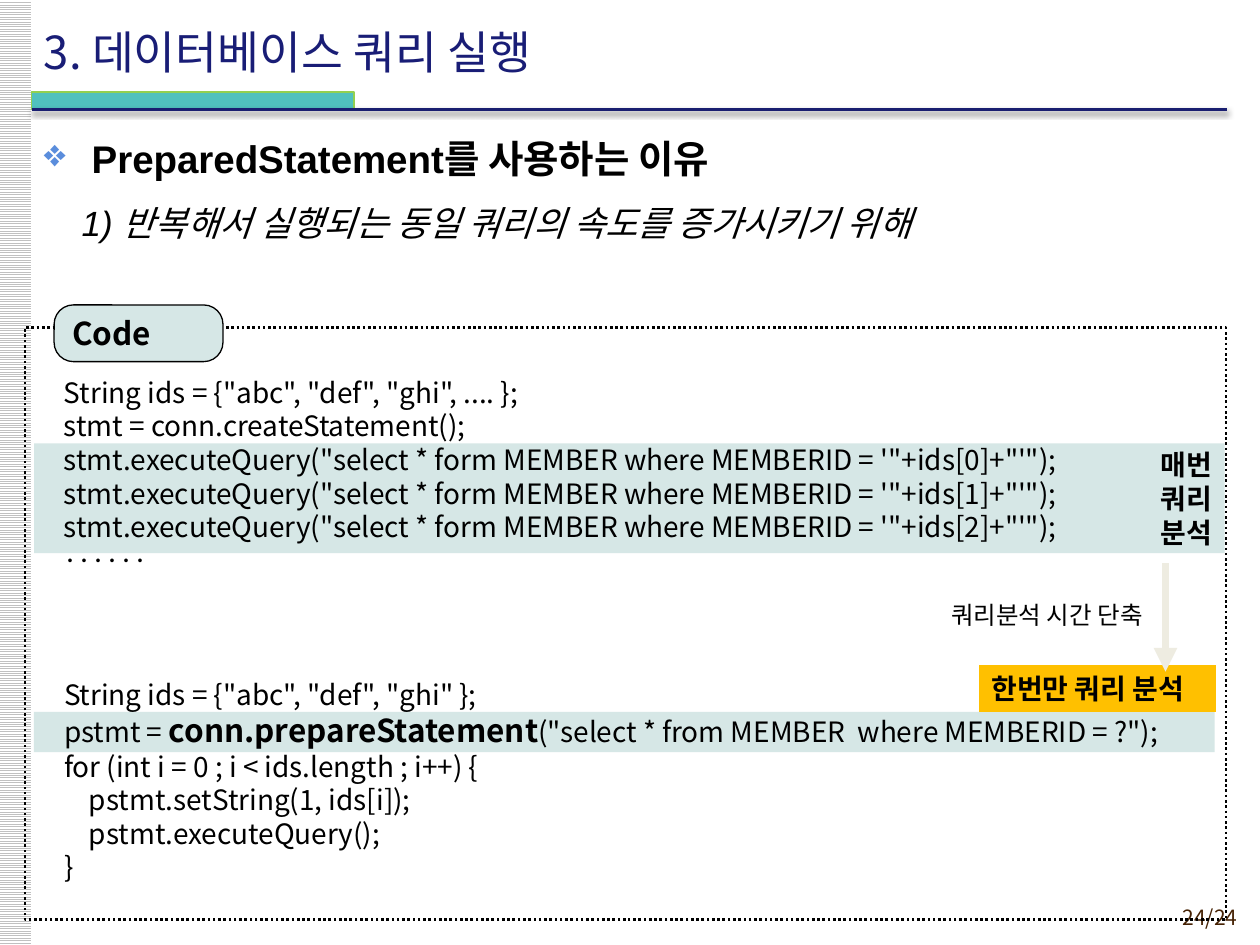
from dataclasses import dataclass

from lxml.etree import SubElement
from pptx import Presentation
from pptx.dml.color import RGBColor
from pptx.enum.dml import MSO_LINE, MSO_PATTERN
from pptx.enum.shapes import MSO_CONNECTOR, MSO_SHAPE
from pptx.enum.text import MSO_ANCHOR as Anchor, PP_ALIGN as Align
from pptx.oxml.ns import qn
from pptx.util import Inches, Pt

TITLE = "3. 데이터베이스 쿼리 실행"
HEADING = "PreparedStatement를 사용하는 이유"
REASON = "1) 반복해서 실행되는 동일 쿼리의 속도를 증가시키기 위해"
PAGE = "24/24"
CODE_LABEL = "Code"
EVERY_TIME = ["매번", "쿼리", "분석"]
ONLY_ONCE = "한번만 쿼리 분석"
TIME_SAVED = "쿼리분석 시간 단축"
STATEMENT_CODE = [
    'String ids = {"abc", "def", "ghi", .... };',
    "stmt = conn.createStatement();",
    *[f"stmt.executeQuery(\"select * form MEMBER where MEMBERID = '\"+ids[{i}]+\"'\");"
      for i in range(3)],
    "‥‥‥",
]
# A tuple is a line of runs; a run in a list is emphasised.
PREPARED_CODE = [
    'String ids = {"abc", "def", "ghi" };',
    ("pstmt = ", ["conn.prepareStatement"],
     '("select * from MEMBER  where MEMBERID = ?");'),
    "for (int i = 0 ; i < ids.length ; i++) {",
    "    pstmt.setString(1, ids[i]);",
    "    pstmt.executeQuery();",
    "}",
]


@dataclass(frozen=True)
class Theme:
    font: str = "Noto Sans CJK KR"
    latin: str = "Arial"
    ink: str = "000000"
    title: str = "191D76"
    rule: str = "191E70"
    page: str = "452103"
    bullet: str = "5A8DDC"
    band: str = "D6E7E6"
    accent: str = "FFC000"
    arrow: str = "EEECE1"
    teal: str = "50C1BE"
    green: str = "92D050"
    stripe: str = "C0C0C0"
    paper: str = "FFFFFF"
    title_size: float = 26
    heading_size: float = 22
    reason_size: float = 20
    strong_size: float = 18
    code_size: float = 16
    note_size: float = 14
    page_size: float = 12
    line_height: float = 1.2


THEME = Theme()


def rgb(value):
    return RGBColor.from_string(value)


def add_panel(slide, box, fill=None, line=None, width=0.75, dash=None,
              kind=MSO_SHAPE.RECTANGLE):
    shape = slide.shapes.add_shape(kind, *map(Inches, box))
    shape.shadow.inherit = False
    if fill:
        shape.fill.solid()
        shape.fill.fore_color.rgb = rgb(fill)
    else:
        shape.fill.background()
    if line:
        shape.line.color.rgb = rgb(line)
        shape.line.width = Pt(width)
        if dash:
            shape.line.dash_style = dash
    else:
        shape.line.fill.background()
    return shape


def add_textbox(slide, box):
    return slide.shapes.add_textbox(*map(Inches, box))


def add_bullet(paragraph, character, color, indent):
    properties = paragraph._p.get_or_add_pPr()
    properties.set("marL", str(Inches(indent)))
    properties.set("indent", str(-Inches(indent)))
    bullet_color = SubElement(properties, qn("a:buClr"))
    SubElement(bullet_color, qn("a:srgbClr"), val=color)
    SubElement(properties, qn("a:buChar"), char=character)


def write(shape, lines, size=THEME.code_size, color=THEME.ink, font=THEME.font,
          bold=False, italic=False, align=Align.LEFT, anchor=Anchor.TOP,
          bullet=None):
    """Fill a shape with lines, each a string or a tuple of runs."""
    frame = shape.text_frame
    frame.word_wrap = True
    frame.vertical_anchor = anchor
    for number, line in enumerate([lines] if isinstance(lines, str) else lines):
        paragraph = frame.paragraphs[0] if number == 0 else frame.add_paragraph()
        if bullet:
            add_bullet(paragraph, bullet, THEME.bullet, 0.38)
        paragraph.alignment = align
        tallest = size
        for part in (line if isinstance(line, tuple) else (line,)):
            strong = isinstance(part, list)
            run = paragraph.add_run()
            run.text = part[0] if strong else part
            run_size = THEME.strong_size if strong else size
            tallest = max(tallest, run_size)
            run.font.size = Pt(run_size)
            run.font.name = font
            run.font.bold = bold or strong
            run.font.italic = italic
            run.font.color.rgb = rgb(color)
            SubElement(run._r.get_or_add_rPr(), qn("a:ea"), typeface=THEME.font)
        paragraph.line_spacing = Pt(tallest * THEME.line_height)


def add_line(slide, start, end, color, width, arrow=False, shadow=False):
    connector = slide.shapes.add_connector(
        MSO_CONNECTOR.STRAIGHT, *map(Inches, (*start, *end)))
    connector.line.color.rgb = rgb(color)
    connector.line.width = Pt(width)
    if arrow:
        SubElement(connector.line._get_or_add_ln(), qn("a:tailEnd"), type="triangle")
    effects = SubElement(connector._element.spPr, qn("a:effectLst"))
    if shadow:
        outer = SubElement(effects, qn("a:outerShdw"), blurRad=str(Pt(3.1)),
                           dist=str(Pt(1.6)), dir="5400000", rotWithShape="0")
        tint = SubElement(outer, qn("a:srgbClr"), val=THEME.ink)
        SubElement(tint, qn("a:alpha"), val="38000")


def add_frame(slide):
    """Draw the striped margin, page number and title rule."""
    margin = add_panel(slide, (-0.01, 0, 0.26, 7.5))
    margin.fill.patterned()
    margin.fill.pattern = MSO_PATTERN.LIGHT_HORIZONTAL
    margin.fill.fore_color.rgb = rgb(THEME.stripe)
    margin.fill.back_color.rgb = rgb(THEME.paper)
    write(add_textbox(slide, (8.86, 7.13, 1.06, 0.29)), PAGE,
          size=THEME.page_size, color=THEME.page, align=Align.RIGHT)
    add_panel(slide, (0.25, 0.73, 2.56, 0.14), THEME.teal, THEME.green)
    add_line(slide, (0.25, 0.87), (9.74, 0.87), THEME.rule, 2, shadow=True)


def add_headings(slide):
    write(add_textbox(slide, (0.25, 1.02, 9.5, 0.5)), HEADING,
          size=THEME.heading_size, font=THEME.latin, bold=True, bullet="❖")
    write(add_textbox(slide, (0.25, 0.09, 8.27, 0.63)), TITLE,
          size=THEME.title_size, color=THEME.title, anchor=Anchor.MIDDLE)


def add_code(slide):
    add_panel(slide, (0.27, 5.65, 9.37, 0.32), THEME.band)
    write(add_panel(slide, (0.27, 3.52, 9.45, 0.87), THEME.band), EVERY_TIME,
          bold=True, align=Align.RIGHT, anchor=Anchor.MIDDLE)
    write(add_textbox(slide, (0.55, 1.55, 8.39, 0.44)), REASON,
          size=THEME.reason_size, font=THEME.latin, italic=True)
    add_panel(slide, (0.2, 2.6, 9.53, 4.7), line=THEME.ink, width=1.5,
              dash=MSO_LINE.ROUND_DOT)
    label = add_panel(slide, (0.43, 2.42, 1.34, 0.45), THEME.band, THEME.ink,
                      kind=MSO_SHAPE.ROUNDED_RECTANGLE)
    label.adjustments[0] = 0.34
    write(label, CODE_LABEL, size=THEME.strong_size, bold=True,
          anchor=Anchor.MIDDLE)
    write(add_textbox(slide, (0.41, 2.93, 8.37, 1.7)), STATEMENT_CODE)
    write(add_textbox(slide, (0.41, 5.33, 8.95, 1.74)), PREPARED_CODE)
    write(add_panel(slide, (7.77, 5.28, 1.88, 0.37), THEME.accent), ONLY_ONCE,
          bold=True)
    add_line(slide, (9.25, 4.47), (9.25, 5.33), THEME.arrow, 4.5, arrow=True)
    write(add_textbox(slide, (7.45, 4.71, 1.89, 0.33)), TIME_SAVED,
          size=THEME.note_size)


def main():
    presentation = Presentation()
    presentation.slide_width, presentation.slide_height = Inches(10), Inches(7.5)
    slide = presentation.slides.add_slide(presentation.slide_layouts[6])
    add_frame(slide)
    add_headings(slide)
    add_code(slide)
    presentation.save("out.pptx")


if __name__ == "__main__":
    main()
